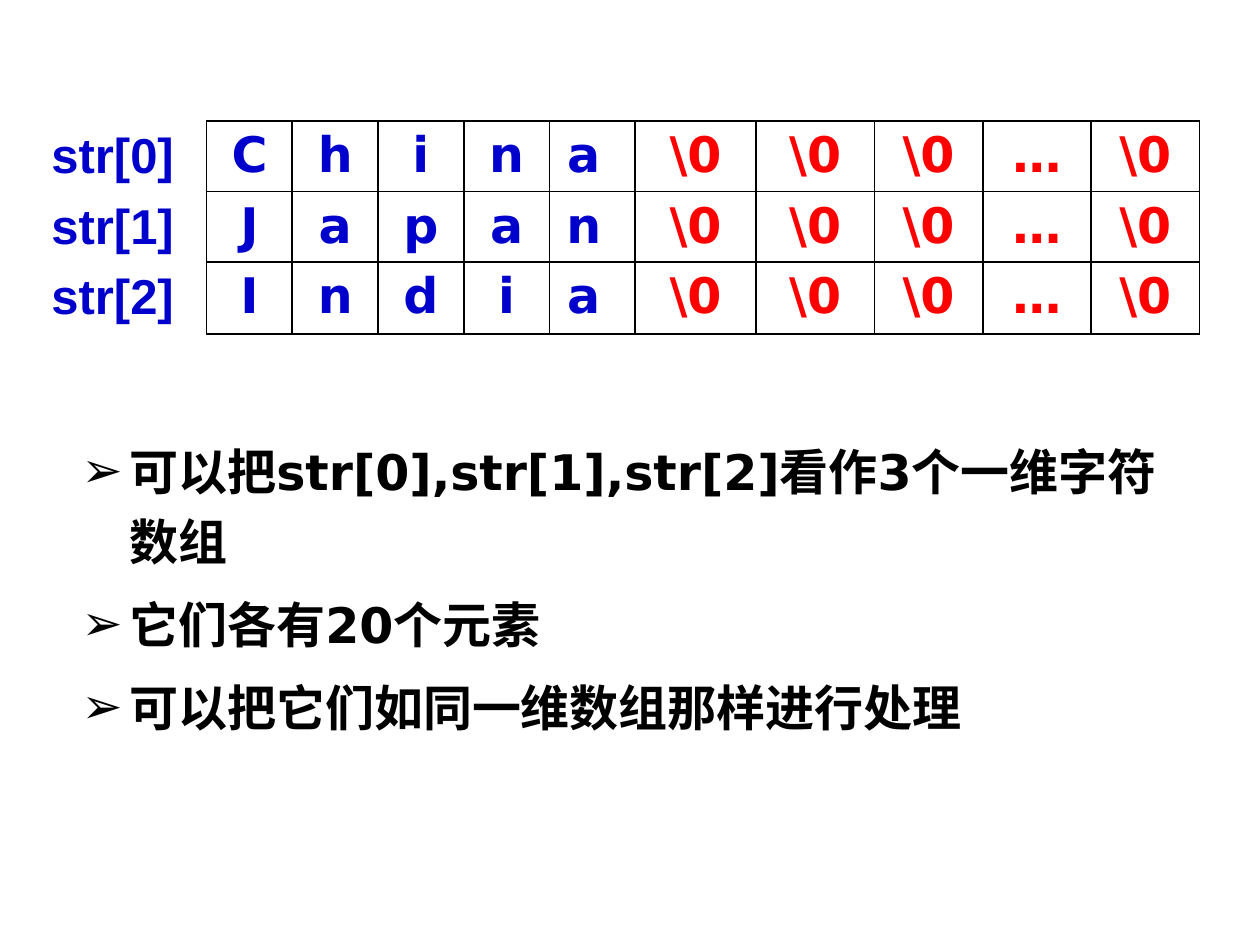
from lxml import etree
from pptx import Presentation
from pptx.dml.color import RGBColor
from pptx.enum.text import MSO_AUTO_SIZE, PP_ALIGN
from pptx.oxml.ns import qn
from pptx.util import Inches, Pt

CENTER = PP_ALIGN.CENTER
GROW = MSO_AUTO_SIZE.SHAPE_TO_FIT_TEXT
COLORS = {"text": "000000", "char": "0000CC", "null": "FF0000",
          "line": "000000", "back": "FFFFFF"}
BODY, LABEL = "DejaVu Sans", "Arial"
COLS = [0.68] * 5 + [0.96, 0.94] + [0.86] * 3
WORDS = ["China", "Japan", "India"]
TAIL = ["\\0", "\\0", "\\0", "…", "\\0"]
NOTES = ["可以把str[0],str[1],str[2]看作3个一维字符数组",
         "它们各有20个元素",
         "可以把它们如同一维数组那样进行处理"]
TOP, STEP, HIGH = 0.96, 0.56, 0.57


class Deck:
    """Holds the text style and the current slide."""

    def __init__(self, slide, size=28):
        self.slide = slide
        self.size = size

    def run(self, para, text, color, font=BODY):
        run = para.add_run()
        run.text = text
        run.font.size = Pt(self.size)
        run.font.bold = True
        run.font.name = font
        run.font.color.rgb = RGBColor.from_string(COLORS[color])

    def frame(self, left, top, width, height):
        box = self.slide.shapes.add_textbox(
            Inches(left), Inches(top), Inches(width), Inches(height))
        box.text_frame.word_wrap = True
        return box.text_frame

    def label(self, text, left, top, width, height):
        frame = self.frame(left, top, width, height)
        frame.auto_size = GROW
        self.run(frame.paragraphs[0], text, "char", LABEL)

    def border(self, cell):
        props = cell._tc.get_or_add_tcPr()
        for i, side in enumerate(("lnL", "lnR", "lnT", "lnB")):
            line = etree.Element(qn(f"a:{side}"), w=str(Pt(1.08)))
            fill = etree.SubElement(line, qn("a:solidFill"))
            etree.SubElement(fill, qn("a:srgbClr"), val=COLORS["line"])
            props.insert(i, line)

    def row(self, items, left, top, height):
        table = self.slide.shapes.add_table(
            1, len(items), Inches(left), Inches(top),
            Inches(sum(COLS)), Inches(height)).table
        table.first_row = table.horz_banding = False
        for i, (text, color) in enumerate(items):
            table.columns[i].width = Inches(COLS[i])
            cell = table.cell(0, i)
            cell.fill.solid()
            cell.fill.fore_color.rgb = RGBColor.from_string(COLORS["back"])
            self.border(cell)
            para = cell.text_frame.paragraphs[0]
            para.alignment = CENTER
            self.run(para, text, color)

    def bullets(self, lines, left, top, width, height):
        frame = self.frame(left, top, width, height)
        for i, text in enumerate(lines):
            para = frame.add_paragraph() if i else frame.paragraphs[0]
            props = para._p.get_or_add_pPr()
            props.set("marL", str(Inches(0.38)))
            props.set("indent", str(-Inches(0.38)))
            tint = etree.SubElement(props, qn("a:buClr"))
            etree.SubElement(tint, qn("a:srgbClr"), val=COLORS["text"])
            etree.SubElement(props, qn("a:buFont"), typeface=BODY)
            etree.SubElement(props, qn("a:buChar"), char="➢")
            para.line_spacing = 1.2
            if i:
                para.space_before = Pt(7)
            self.run(para, text, "text")


def main():
    prs = Presentation()
    prs.slide_width, prs.slide_height = Inches(10), Inches(7.5)
    deck = Deck(prs.slides.add_slide(prs.slide_layouts[6]))

    # One labelled row of cells per string
    for i, word in enumerate(WORDS):
        top = TOP + i * STEP
        chars = [*word[:-1], word[-1] + " "]  # last letter sits left of centre
        items = [(c, "char") for c in chars] + [(c, "null") for c in TAIL]
        deck.row(items, 1.64, top, HIGH)
        deck.label(f"str[{i}]", 0.31, top - 0.02, 1.41, HIGH)

    # Remarks under the rows
    deck.bullets(NOTES, 0.55, 3.36, 8.98, 2.97)
    prs.save("out.pptx")


if __name__ == "__main__":
    main()
